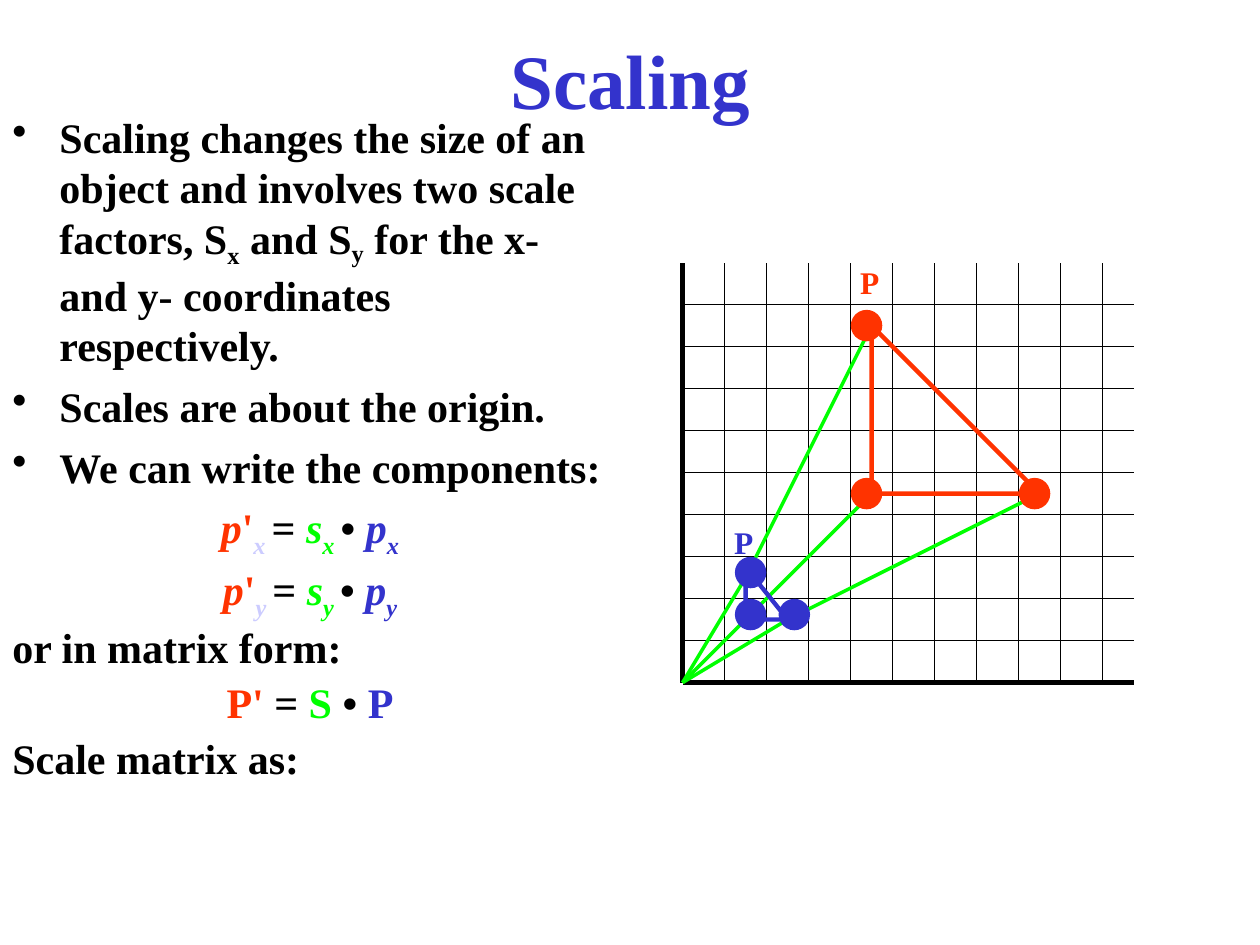
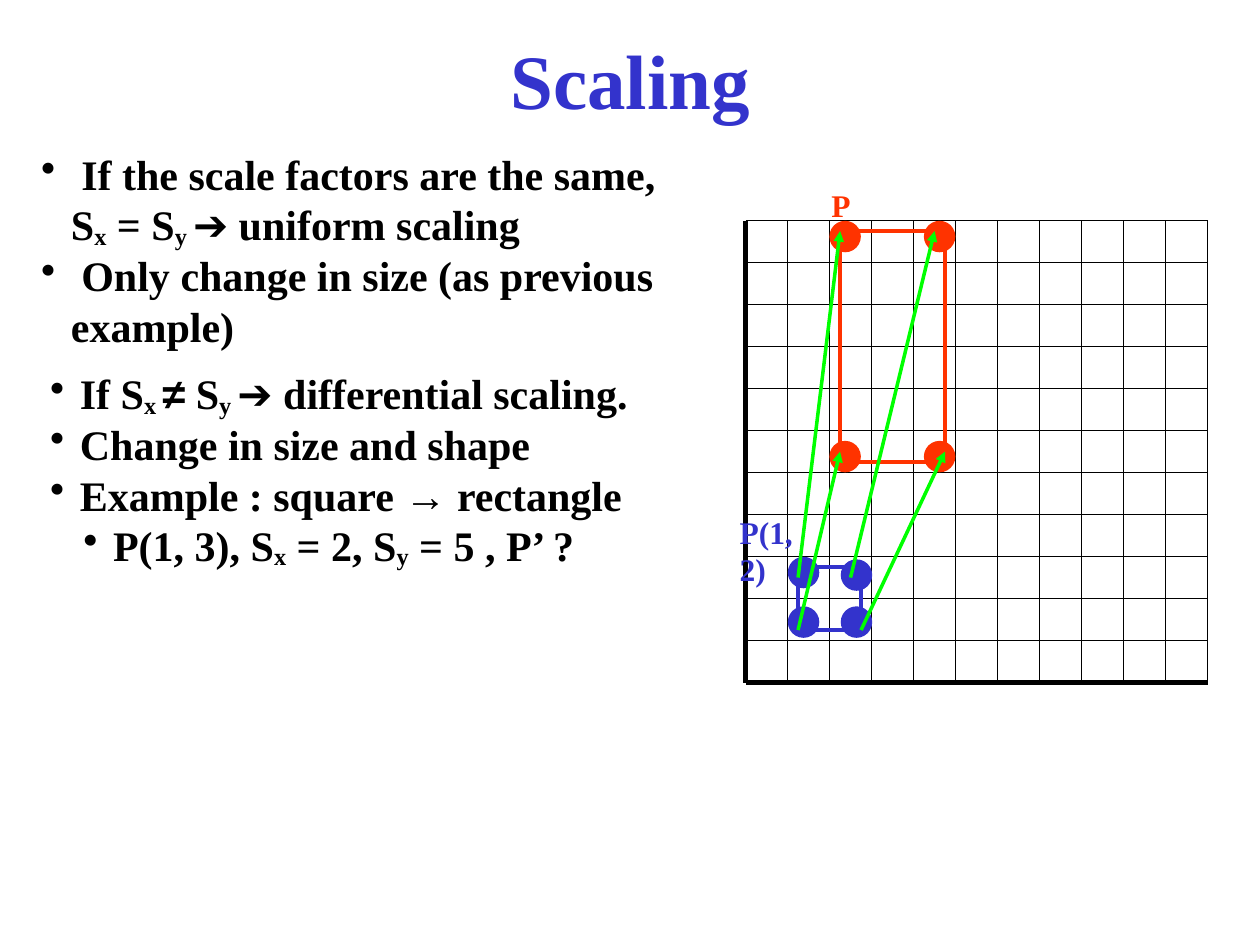
"""Build two slides on uniform and differential scaling."""
from dataclasses import dataclass

from lxml.etree import SubElement
from pptx import Presentation
from pptx.dml.color import RGBColor
from pptx.enum.shapes import MSO_CONNECTOR as Link, MSO_SHAPE as Preset
from pptx.enum.text import MSO_ANCHOR as Anchor, PP_ALIGN as Align
from pptx.oxml.ns import qn
from pptx.util import Cm, Pt


@dataclass(frozen=True)
class Theme:
    ink: str = "000000"
    before: str = "3333CC"
    after: str = "FF3300"
    factor: str = "00FF00"
    pale: str = "CCCCFF"
    font: str = "Times New Roman"
    symbols: str = "Arial"
    title_size: int = 44
    body_size: int = 24
    label_size: int = 18
    axis: float = 3
    grid: float = 0.75
    ray: float = 2
    cell: float = 2.54 / 3
    dot: float = 0.75


@dataclass(frozen=True)
class Run:
    text: str
    color: str = Theme.ink
    italic: bool = False
    drop: int = 0
    font: str = Theme.font


class Deck:
    def __init__(self, theme):
        self.theme = theme
        self.file = Presentation()
        self.file.slide_width, self.file.slide_height = Cm(25.4), Cm(19.05)
        self.slide = None
        self.origin = (0, 0)

    def start(self, heading, origin):
        self.slide = self.file.slides.add_slide(self.file.slide_layouts[5])
        self.origin = origin
        title = self.slide.shapes.title
        title.left, title.top, title.width, title.height = Cm(1.91), Cm(0), Cm(21.59), Cm(3.18)
        title.text_frame.vertical_anchor = Anchor.MIDDLE
        self.add_runs(title.text_frame.paragraphs[0], [Run(heading, self.theme.before)],
                      self.theme.title_size, Align.CENTER)

    def at(self, x, y):
        left, bottom = self.origin
        return Cm(left + x * self.theme.cell), Cm(bottom - y * self.theme.cell)

    def add_runs(self, paragraph, runs, size, align=Align.LEFT):
        paragraph.alignment = align
        for part in runs:
            run = paragraph.add_run()
            run.text = part.text
            run.font.name, run.font.size = part.font, Pt(size)
            run.font.bold, run.font.italic = True, part.italic
            run.font.color.rgb = RGBColor.from_string(part.color)
            if part.drop:
                run.font._element.set("baseline", str(-1000 * part.drop))

    def box(self, left, top, width, height, wrap=True):
        frame = self.slide.shapes.add_textbox(Cm(left), Cm(top), Cm(width), Cm(height)).text_frame
        frame.word_wrap = wrap
        return frame

    def next_paragraph(self, frame, before=0, spacing=1.0):
        first = frame.paragraphs[0]
        if not first.runs:
            first.line_spacing = spacing
            return first
        paragraph = frame.add_paragraph()
        paragraph.line_spacing = spacing
        paragraph.space_before = Pt(before)
        return paragraph

    def line(self, frame, runs, align=Align.LEFT):
        self.add_runs(self.next_paragraph(frame, 6, 0.9), runs, self.theme.body_size, align)

    def bullet(self, frame, runs, hang=0.6, margin=None, before=0, level=0):
        paragraph = self.next_paragraph(frame, before)
        paragraph.level = level
        props = paragraph._p.get_or_add_pPr()
        props.set("marL", str(Cm(hang if margin is None else margin)))
        props.set("indent", str(-Cm(hang)))
        SubElement(props, qn("a:buChar")).set("char", "•")
        self.add_runs(paragraph, runs, self.theme.body_size)

    def label(self, text, color, left, top, width):
        frame = self.box(left, top, width, 1.02, wrap=False)
        self.add_runs(frame.paragraphs[0], [Run(text, color)], self.theme.label_size)

    def segment(self, start, end, color, weight, arrow=False):
        link = self.slide.shapes.add_connector(Link.STRAIGHT, *self.at(*start), *self.at(*end))
        link.line.color.rgb = RGBColor.from_string(color)
        link.line.width = Pt(weight)
        if arrow:
            SubElement(link.line._get_or_add_ln(), qn("a:tailEnd")).set("type", "triangle")
        SubElement(link._element.spPr, qn("a:effectLst"))

    def ray(self, start, end, arrow=True):
        self.segment(start, end, self.theme.factor, self.theme.ray, arrow)

    def plane(self, width, height, columns, rows):
        ink = self.theme.ink
        for x in range(1, columns + 1):
            self.segment((x, 0), (x, height), ink, self.theme.grid)
        for y in range(1, rows + 1):
            self.segment((0, y), (width, y), ink, self.theme.grid)
        for end in ((0, height), (width, 0)):
            self.segment((0, 0), end, ink, self.theme.axis)

    def figure(self, preset, x, top, width, height):
        cell = self.theme.cell
        shape = self.slide.shapes.add_shape(
            preset, *self.at(x, top), Cm(width * cell), Cm(height * cell))
        shape.shadow.inherit = False
        return shape

    def outline(self, preset, x, top, width, height, color, weight):
        shape = self.figure(preset, x, top, width, height)
        shape.fill.background()
        shape.line.color.rgb = RGBColor.from_string(color)
        shape.line.width = Pt(weight)

    def dots(self, centres, color):
        size = self.theme.dot
        for x, y in centres:
            dot = self.figure(Preset.OVAL, x - size / 2, y + size / 2, size, size)
            dot.fill.solid()
            dot.fill.fore_color.rgb = RGBColor.from_string(color)
            dot.line.fill.background()


def component(theme, axis):
    return [
        Run("p", theme.after, True), Run("'", theme.after),
        Run(f"{axis} ", theme.pale, True, 25), Run("= "),
        Run("s", theme.factor, True), Run(f"{axis} ", theme.factor, True, 25), Run("• "),
        Run("p", theme.before, True), Run(axis, theme.before, True, 25),
    ]


def uniform_scaling(deck):
    theme = deck.theme
    deck.start("Scaling", (13.76, 13.76))
    body = deck.box(0, 2.12, 12.5, 16.3)
    definition = [
        Run("Scaling changes the size of an object and involves two scale factors, S"),
        Run("x", drop=25), Run(" and S"), Run("y", drop=20),
        Run(" for the x- and y- coordinates respectively."),
    ]
    for runs in (definition, [Run("Scales are about the origin.")],
                 [Run("We can write the components:")]):
        deck.bullet(body, runs, hang=0.95, before=6)
    for axis in "xy":
        deck.line(body, component(theme, axis), Align.CENTER)
    deck.line(body, [Run("or in matrix form:")])
    deck.line(body, [Run("P' ", theme.after), Run("= "), Run("S ", theme.factor),
                     Run("• "), Run("P", theme.before)], Align.CENTER)
    deck.line(body, [Run("Scale matrix as:")])

    deck.plane(10.75, 10, columns=10, rows=9)
    corners = {(1.5, 2.5): (4.5, 8.5), (1.5, 1.5): (4.5, 4.5), (2.5, 1.5): (8.5, 4.5)}
    for corner, scaled in corners.items():
        deck.ray(corner, scaled)
    deck.outline(Preset.RIGHT_TRIANGLE, 1.5, 2.75, 1, 1.25, theme.before, 2.5)
    deck.outline(Preset.RIGHT_TRIANGLE, 4.5, 8.5, 4, 4, theme.after, 2.5)
    for corner in corners:
        deck.ray(corner, (0, 0), arrow=False)
    deck.dots([(1.62, 1.62), (2.66, 1.62), (1.62, 2.62)], theme.before)
    deck.dots([(4.38, 4.5), (8.38, 4.5), (4.38, 8.5)], theme.after)
    deck.label("P", theme.before, 14.55, 10.41, 0.9)
    deck.label("P’", theme.after, 17.09, 5.18, 1.09)


def differential_scaling(deck):
    theme = deck.theme
    arrow = Run("➔", font=theme.symbols)
    sub_x, sub_y = Run("x", drop=10), Run("y", drop=10)
    sub_x_gap, sub_y_gap = Run("x ", drop=10), Run("y ", drop=10)
    deck.start("Scaling", (15.03, 13.76))
    deck.plane(11, 11, columns=11, rows=11)

    same = deck.box(0.58, 2.87, 13.39, 4.34)
    deck.bullet(same, [Run(" If the scale factors are the same, S"), sub_x, Run(" = S"),
                       sub_y_gap, arrow, Run(" uniform scaling")])
    deck.bullet(same, [Run(" Only change in size (as previous example)")])

    deck.label("P(1, 2)", theme.before, 14.66, 10.21, 2.26)
    deck.dots([(1.38, 1.44), (2.64, 1.44), (1.38, 2.62), (2.64, 2.56)], theme.before)
    deck.outline(Preset.RECTANGLE, 1.25, 2.75, 1.5, 1.5, theme.before, 2)
    deck.label("P’", theme.after, 16.51, 3.63, 1.09)
    deck.dots([(x, y) for y in (5.38, 10.62) for x in (2.37, 4.62)], theme.after)
    deck.outline(Preset.RECTANGLE, 2.25, 10.75, 2.5, 5.5, theme.after, 2)
    for corner, scaled in (((1.25, 2.5), (2.25, 10.75)), ((2.75, 1.25), (4.75, 5.5)),
                           ((1.25, 1.25), (2.25, 5.5)), ((2.5, 2.5), (4.5, 10.75))):
        deck.ray(corner, scaled)

    different = deck.box(0.76, 7.29, 13.2, 4.34)
    deck.bullet(different, [Run("If S"), sub_x_gap, Run("≠", font=theme.symbols), Run(" S"),
                            sub_y_gap, arrow, Run(" differential scaling.")])
    deck.bullet(different, [Run("Change in size and shape")])
    deck.bullet(different, [Run("Example : square "), Run("→", font=theme.symbols),
                            Run(" rectangle")])
    deck.bullet(different, [Run("P(1, 3), S"), sub_x, Run(" = 2, S"), sub_y,
                            Run(" = 5 , P’ ?")], margin=1.27, level=1)


def main():
    deck = Deck(Theme())
    uniform_scaling(deck)
    differential_scaling(deck)
    deck.file.save("out.pptx")


if __name__ == "__main__":
    main()
